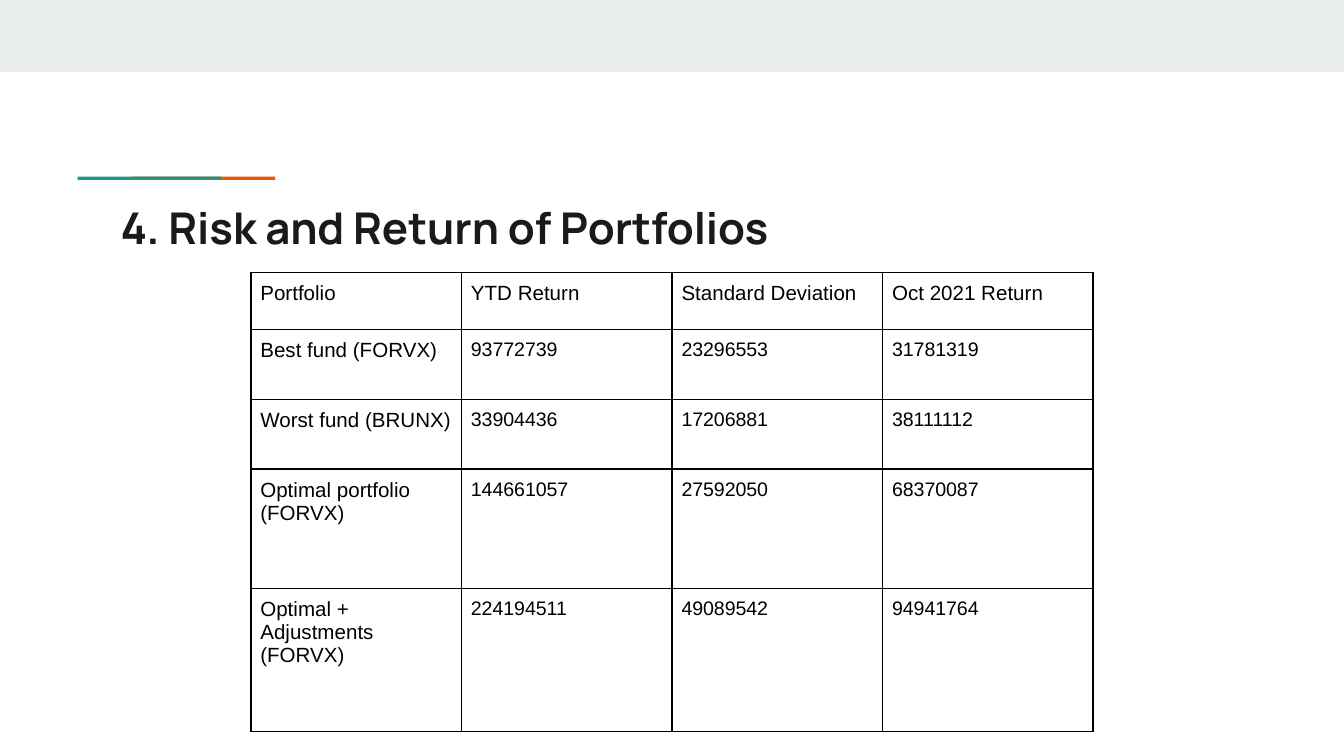
"""Build the slide comparing risk and return of portfolios."""
from lxml import etree
from pptx import Presentation
from pptx import util as u
from pptx.dml import color
from pptx.enum import shapes, text
from pptx.oxml import ns

TITLE = "4. Risk and Return of Portfolios"
ROWS = [
    ("Portfolio", "YTD Return", "Standard Deviation", "Oct 2021 Return"),
    ("Best fund (FORVX)", "93772739", "23296553", "31781319"),
    ("Worst fund (BRUNX)", "33904436", "17206881", "38111112"),
    ("Optimal portfolio (FORVX)", "144661057", "27592050", "68370087"),
    ("Optimal + Adjustments (FORVX)", "224194511", "49089542", "94941764"),
]
ROW_HEIGHTS = [1.08, 1.32, 1.32, 2.25, 2.71]
COLUMN_WIDTH = 3.98
BARS = [
    ("E9EDEE", 0, 0, 25.4, 1.36),
    ("EB5600", 2.49, 3.34, 2.71, 0.06),
    ("1A9988", 1.47, 3.34, 2.71, 0.06),
]


def paint(fill, hex_color):
    fill.solid()
    fill.fore_color.rgb = color.RGBColor.from_string(hex_color)


def style(paragraph, font_name, size, hex_color, bold=False):
    paragraph.alignment = text.PP_ALIGN.LEFT
    for run in paragraph.runs:
        run.font.name = font_name
        run.font.size = u.Pt(size)
        run.font.bold = bold
        paint(run.font.fill, hex_color)


def set_margins(target, margin):
    for side in ("left", "top", "right", "bottom"):
        setattr(target, f"margin_{side}", u.Cm(margin))


def add_borders(cell, hex_color, points):
    properties = cell._tc.get_or_add_tcPr()
    for index, side in enumerate(("lnL", "lnR", "lnT", "lnB")):
        line = etree.Element(ns.qn(f"a:{side}"), w=str(u.Pt(points)))
        fill = etree.SubElement(line, ns.qn("a:solidFill"))
        etree.SubElement(fill, ns.qn("a:srgbClr"), val=hex_color)
        properties.insert(index, line)


def add_bar(slide, hex_color, *box):
    bar = slide.shapes.add_shape(shapes.MSO_SHAPE.RECTANGLE, *map(u.Cm, box))
    bar.shadow.inherit = False
    paint(bar.fill, hex_color)
    bar.line.fill.background()


def add_title(slide):
    title = slide.shapes.title
    title.left, title.top, title.width, title.height = map(u.Cm, (2.03, 3.54, 21.36, 1.5))
    frame = title.text_frame
    frame.text = TITLE
    frame.word_wrap = True
    frame.auto_size = text.MSO_AUTO_SIZE.NONE
    frame.vertical_anchor = text.MSO_ANCHOR.TOP
    set_margins(frame, 0.25)
    style(frame.paragraphs[0], "Manrope", 23.4, "1A1A1A", bold=True)


def add_portfolio_table(slide):
    column_count = len(ROWS[0])
    table = slide.shapes.add_table(
        len(ROWS), column_count, u.Cm(4.74), u.Cm(5.15),
        u.Cm(COLUMN_WIDTH * column_count), u.Cm(sum(ROW_HEIGHTS))).table
    for column in table.columns:
        column.width = u.Cm(COLUMN_WIDTH)
    for row_index, (values, height) in enumerate(zip(ROWS, ROW_HEIGHTS)):
        table.rows[row_index].height = u.Cm(height)
        for column_index, value in enumerate(values):
            cell = table.cell(row_index, column_index)
            cell.text_frame.text = value
            set_margins(cell, 0.18)
            paint(cell.fill, "FFFFFF")
            add_borders(cell, "000000", 1)
            size = 10.5 if row_index and column_index else 11
            style(cell.text_frame.paragraphs[0], "Arial", size, "000000")


def main():
    presentation = Presentation()
    presentation.slide_width, presentation.slide_height = u.Cm(25.4), u.Cm(14.29)
    slide = presentation.slides.add_slide(presentation.slide_layouts[5])
    paint(slide.background.fill, "FFFFFF")
    for bar in BARS:
        add_bar(slide, *bar)
    add_title(slide)
    add_portfolio_table(slide)
    presentation.save("out.pptx")


if __name__ == "__main__":
    main()
